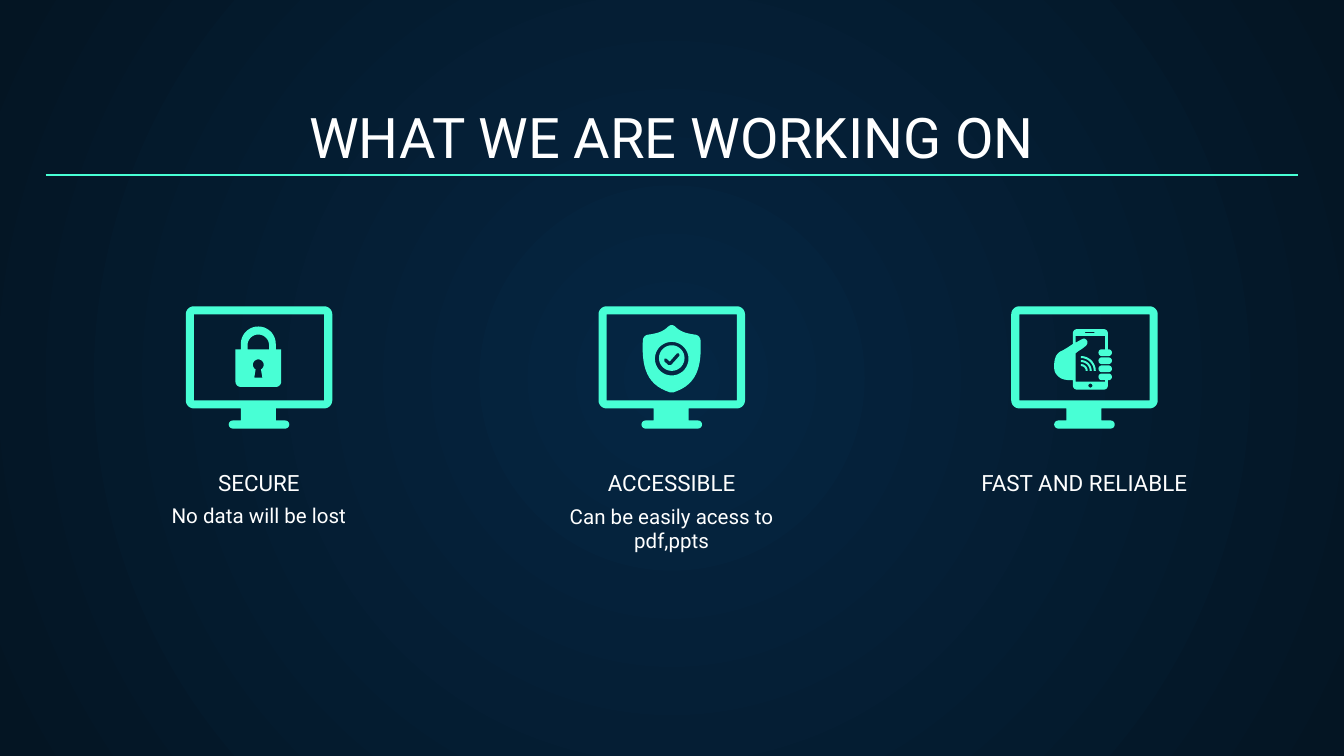
import math
import pptx
import pptx.util
import pptx.dml.color
import pptx.enum.shapes
import pptx.enum.text
import pptx.oxml
import pptx.oxml.ns

Cm = pptx.util.Cm
ANCHOR = pptx.enum.text.MSO_ANCHOR
COLORS = {"mint": "48FFD5", "text": "FFFFFF", "glow": "052643", "night": "041523"}
GRID = 0.0254


def rgb(name):
    return pptx.dml.color.RGBColor.from_string(COLORS[name])


def arc(cx, cy, r, start, end):
    n = max(4, abs(end - start) // 10)
    angles = [math.radians(start + (end - start) * i / n) for i in range(n + 1)]
    return [(cx + r * math.cos(a), cy + r * math.sin(a)) for a in angles]


def curve(a, b, c, d, n=8):
    return [tuple((1 - t) ** 3 * p + 3 * (1 - t) ** 2 * t * q + 3 * (1 - t) * t ** 2 * u + t ** 3 * v
                  for p, q, u, v in zip(a, b, c, d))
            for t in (i / n for i in range(n + 1))]


def rect(x1, y1, x2, y2):
    return [(x1, y1), (x2, y1), (x2, y2), (x1, y2)]


def pill(x1, y1, x2, y2):
    r, cy = (y2 - y1) / 2, (y1 + y2) / 2
    return arc(x2 - r, cy, r, 270, 450) + arc(x1 + r, cy, r, 90, 270)


def monitor():
    outline = (arc(6, 6, 6, 180, 270) + arc(103, 6, 6, 270, 360) + arc(103, 70, 6, 0, 90)
               + [(67, 76), (67, 85)] + arc(74, 88, 3, 270, 450) + arc(35, 88, 3, 90, 270)
               + [(41, 85), (41, 76)] + arc(6, 70, 6, 90, 180))
    return [outline, rect(6, 6, 103, 70)]


def lock():
    body = ([(0, 17), (4, 17)] + arc(17, 13, 13, 180, 360) + [(30, 17), (34, 17)]
            + arc(30, 41, 4, 0, 90) + arc(4, 41, 4, 90, 180))
    shackle = [(9, 17)] + arc(17, 14, 8, 180, 360) + [(25, 17)]
    keyhole = arc(17, 28.5, 4, 120, 420)[::-1] + [(14, 38), (20, 38)]
    return [body, shackle, keyhole]


def shield():
    half = (curve((21.5, 0), (22.5, 0), (23, 0.3), (24, 1))
            + curve((24, 1), (28, 5), (32, 6), (38, 7))
            + curve((38, 7), (41, 7), (43, 9), (43, 12))
            + curve((43, 12), (43.3, 19), (43, 27), (41, 33))
            + curve((41, 33), (38, 42), (32, 47), (23, 50)))
    mirrored = [(43 - x, y) for x, y in reversed(half)]
    return [half + mirrored, arc(21.5, 25, 12.5, 0, 360)]


def badge():
    tick = [(4, 10), (5.5, 9.8), (8, 12), (13.3, 6), (15, 6), (15.3, 7.8), (9, 14.8), (7, 14.8), (4, 12)]
    return [arc(9.5, 9.5, 9.5, 0, 360), tick]


def phone():
    thumb = (curve((16, 10), (20, 8), (21, 7), (22.5, 7)) + curve((22.5, 7), (25, 8), (25.5, 10), (24, 12))
             + curve((24, 12), (21, 15), (18, 16), (16, 18)))
    palm = (curve((14, 38), (10, 38), (5, 38), (2, 34)) + curve((2, 34), (0, 32), (0, 29), (0, 27))
            + curve((0, 27), (0, 20), (3, 17), (6, 16)) + curve((6, 16), (8, 15), (11, 13), (14, 11)))
    body = (arc(17, 3, 3, 180, 270) + arc(37, 3, 3, 270, 360) + [(40, 15)]
            + pill(33, 15, 43, 20) + [(38, 15), (38, 5), (16, 5)] + thumb
            + [(16, 39), (38, 39), (38, 38)] + pill(33, 33, 43, 38)[::-1][:0]
            + arc(35.5, 35.5, 2.5, 90, 270) + arc(40.5, 35.5, 2.5, 270, 450) + [(40, 38)]
            + arc(37, 42, 3, 0, 90) + arc(17, 42, 3, 90, 180) + palm)
    waves = [arc(20, 31, r, 270, 360) + arc(20, 31, r - 1.5, 360, 270) for r in (5, 8, 11)]
    fingers = [pill(33, y, 43, y + 5) for y in (21, 27)]
    return [body, rect(23, 2, 30, 3), arc(27, 42, 1.5, 0, 360)] + waves + fingers


def add_icon(s, x, y, contours):
    paths = [[(Cm(x + px * GRID), Cm(y + py * GRID)) for px, py in c] for c in contours]
    fb = s.shapes.build_freeform(*paths[0][0], scale=1.0)
    fb.add_line_segments(paths[0][1:], close=True)
    for path in paths[1:]:
        fb.move_to(*path[0])
        fb.add_line_segments(path[1:], close=True)
    sp = fb.convert_to_shape()
    sp.shadow.inherit = False
    sp.fill.solid()
    sp.fill.fore_color.rgb = rgb("mint")
    sp.line.fill.background()


def add_text(s, box, text, size, anchor):
    tf = s.shapes.add_textbox(*map(Cm, box)).text_frame
    tf.word_wrap = True
    tf.vertical_anchor = anchor
    tf.margin_left = tf.margin_right = tf.margin_top = tf.margin_bottom = Cm(0.25)
    p = tf.paragraphs[0]
    p.alignment = pptx.enum.text.PP_ALIGN.CENTER
    r = p.add_run()
    r.text = text
    r.font.name = "Roboto"
    r.font.size = pptx.util.Pt(size)
    r.font.color.rgb = rgb("text")


def add_background(s):
    fill = s.background.fill
    fill.gradient()
    for stop, name, pos in zip(fill.gradient_stops, ("glow", "night"), (0, 1)):
        stop.color.rgb = rgb(name)
        stop.position = pos
    grad = s.element.find(".//" + pptx.oxml.ns.qn("a:gradFill"))
    grad.replace(grad.find(pptx.oxml.ns.qn("a:lin")), pptx.oxml.parse_xml(
        '<a:path %s path="circle"><a:fillToRect l="50000" t="50000" r="50000" b="50000"/></a:path>'
        % pptx.oxml.ns.nsdecls("a")))


def add_heading(s, x, y, w, h):
    add_text(s, (x, y, w, h), "WHAT WE ARE WORKING ON", 30, ANCHOR.BOTTOM)
    rule_y = Cm(y + 1.53)
    line = s.shapes.add_connector(pptx.enum.shapes.MSO_CONNECTOR.STRAIGHT, Cm(x), rule_y, Cm(x + w), rule_y)
    line.line.color.rgb = rgb("mint")
    line.line.width = pptx.util.Pt(0.75)
    line.element.spPr.append(pptx.oxml.parse_xml("<a:effectLst %s/>" % pptx.oxml.ns.nsdecls("a")))


def add_feature(s, x, y, w, caption, detail, glyphs):
    icon_x = x + (w - 109 * GRID) / 2
    add_icon(s, icon_x, y, monitor())
    for dx, dy, contours in glyphs:
        add_icon(s, icon_x + dx * GRID, y + dy * GRID, contours)
    add_text(s, (x, y + 3.3, w, 0.53), caption, 12, ANCHOR.BOTTOM)
    if detail:
        add_text(s, (x + 0.25, y + 3.48, w - 0.5, 1.4), detail, 11, ANCHOR.TOP)


def main():
    prs = pptx.Presentation()
    prs.slide_width, prs.slide_height = Cm(25.4), Cm(14.29)
    s = prs.slides.add_slide(prs.slide_layouts[6])
    add_background(s)
    add_heading(s, 0.86, 1.78, 23.67, 1.68)
    features = [
        ("SECURE", "No data will be lost", [(37, 15, lock())]),
        ("ACCESSIBLE", "Can be easily acess to pdf,ppts", [(33, 14, shield()), (45, 29, badge())]),
        ("FAST AND RELIABLE", "", [(32, 17, phone())]),
    ]
    for i, (caption, detail, glyphs) in enumerate(features):
        add_feature(s, 2.01 + i * 7.8, 5.79, 5.77, caption, detail, glyphs)
    prs.save("out.pptx")


if __name__ == "__main__":
    main()
